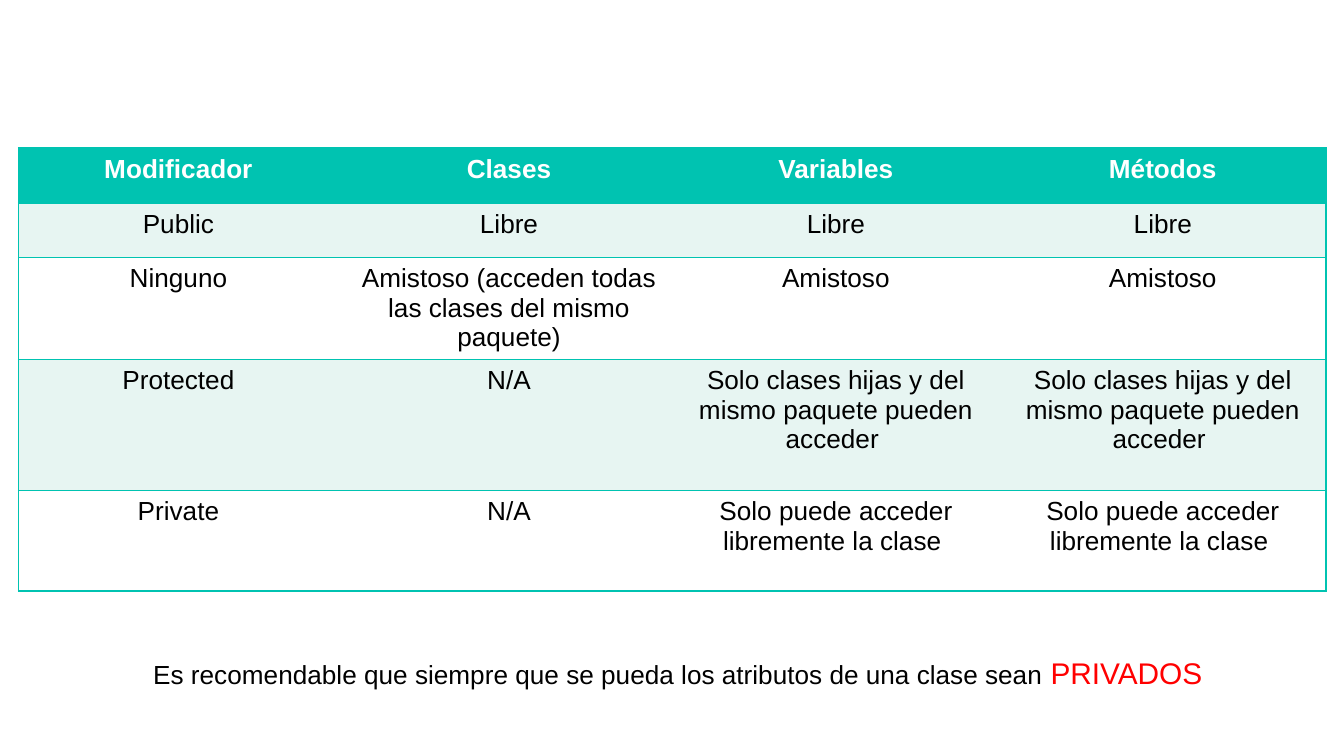
from lxml.etree import SubElement
from pptx import Presentation
from pptx.dml.color import RGBColor
from pptx.enum.text import MSO_AUTO_SIZE, PP_ALIGN
from pptx.oxml.ns import qn
from pptx.util import Pt

COLORS = {
    "teal": "00C3B1",
    "mint": "E7F5F2",
    "white": "FFFFFF",
    "black": "000000",
    "red": "FF0000",
}
FONT = "Arial"
COL_WIDTH = 175.15
ROW_HEIGHTS = [29.7, 29, 54.7, 70.2, 54]
ROWS = [
    ["Modificador ", "Clases", "Variables", "Métodos"],
    ["Public ", "Libre", "Libre", "Libre"],
    ["Ninguno ", "Amistoso (acceden todas las clases del mismo paquete)",
     "Amistoso", "Amistoso"],
    ["Protected ", "N/A"] + ["Solo clases hijas y del mismo paquete pueden acceder "] * 2,
    ["Private ", "N/A"] + ["Solo puede acceder libremente la clase "] * 2,
]


def rgb(name):
    return RGBColor.from_string(COLORS[name])


def add_run(p, text, size, color, bold=False):
    r = p.add_run()
    r.text = text
    r.font.name = FONT
    r.font.size = Pt(size)
    r.font.bold = bold
    r.font.color.rgb = rgb(color)


def add_border(cell, side, color):
    """Draw one side (L, R, T or B); sides go in that order, before the fill."""
    tc_pr = cell._tc.get_or_add_tcPr()
    ln = SubElement(tc_pr, qn(f"a:ln{side}"), w=str(Pt(1)))
    if color:
        fill = SubElement(ln, qn("a:solidFill"))
        SubElement(fill, qn("a:srgbClr"), val=COLORS[color])
    else:
        SubElement(ln, qn("a:noFill"))


def style_cell(cell, text, row, col, last_col):
    add_border(cell, "L", "teal" if col == 0 else None)
    add_border(cell, "R", "teal" if col == last_col else None)
    add_border(cell, "T", "teal")
    add_border(cell, "B", "teal")
    header = row == 0
    cell.fill.solid()
    cell.fill.fore_color.rgb = rgb("teal" if header else "mint" if row % 2 else "white")
    p = cell.text_frame.paragraphs[0]
    p.alignment = PP_ALIGN.CENTER
    add_run(p, text, 14, "white" if header else "black", bold=header)


def add_modifier_table(s):
    n_cols = len(ROWS[0])
    frame = s.shapes.add_table(len(ROWS), n_cols, Pt(10), Pt(79.2),
                               Pt(COL_WIDTH * n_cols), Pt(sum(ROW_HEIGHTS)))
    table = frame.table
    for column in table.columns:
        column.width = Pt(COL_WIDTH)
    for i, (texts, height) in enumerate(zip(ROWS, ROW_HEIGHTS)):
        table.rows[i].height = Pt(height)
        for j, text in enumerate(texts):
            style_cell(table.cell(i, j), text, i, j, n_cols - 1)


def add_recommendation(s):
    tf = s.shapes.add_textbox(Pt(75), Pt(347), Pt(584), Pt(26.6)).text_frame
    tf.word_wrap = False
    tf.auto_size = MSO_AUTO_SIZE.SHAPE_TO_FIT_TEXT
    p = tf.paragraphs[0]
    add_run(p, "Es recomendable que siempre que se pueda los atributos de una clase sean ",
            14, "black")
    add_run(p, "PRIVADOS", 16, "red")
    add_run(p, " ", 14, "black")


def main():
    prs = Presentation()
    prs.slide_width, prs.slide_height = Pt(720), Pt(405)
    s = prs.slides.add_slide(prs.slide_layouts[6])
    add_modifier_table(s)
    add_recommendation(s)
    prs.save("out.pptx")


if __name__ == "__main__":
    main()
